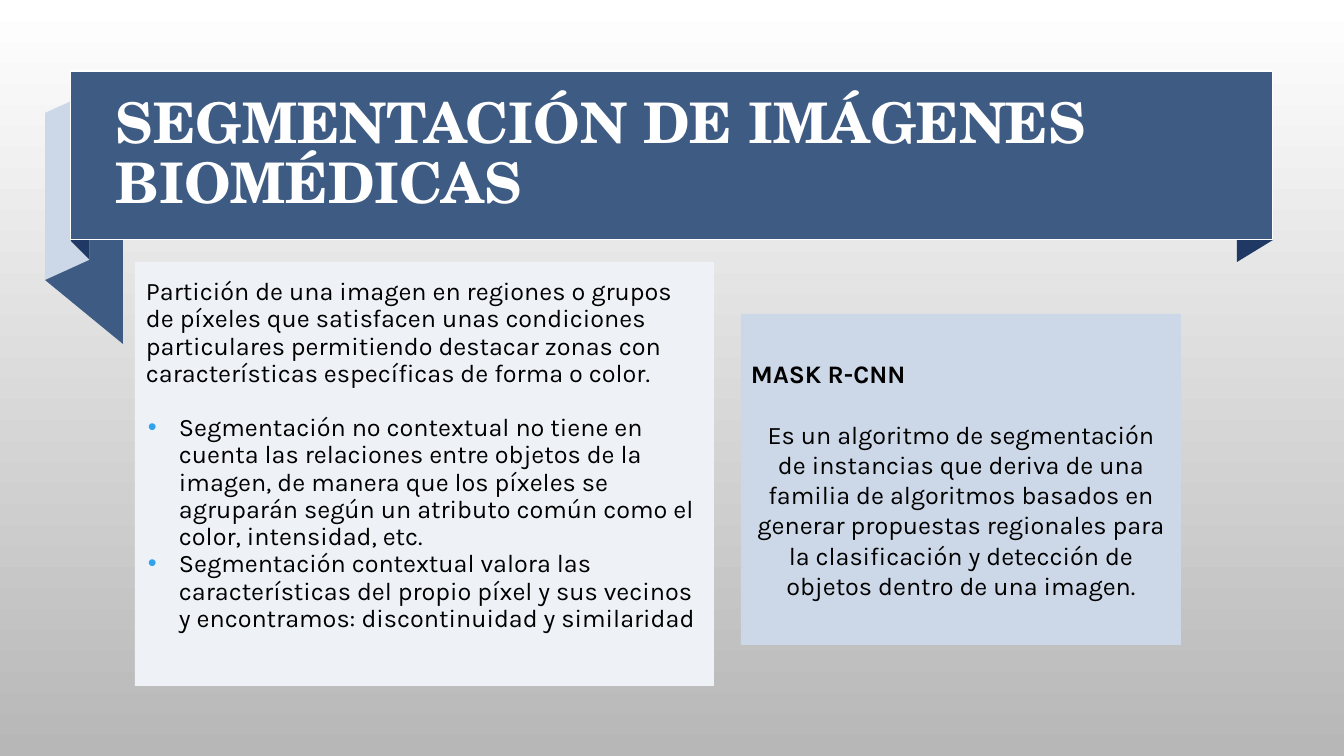
import pptx
import pptx.dml.color
import pptx.enum.shapes
import pptx.enum.text
import pptx.oxml.ns
import pptx.util
from lxml import etree

PX = 914400 / 100.8
ALIGN = pptx.enum.text.PP_ALIGN
ANCHOR = pptx.enum.text.MSO_ANCHOR

NAVY, BLUE, PALE, MIST = "1F3864", "3E5C83", "CCD8E7", "EEF2F7"
WHITE, BLACK, BULLET = "FFFFFF", "000000", "2FA3EE"


def px(length):
    return pptx.util.Emu(round(length * PX))


def color(value):
    return pptx.dml.color.RGBColor.from_string(value)


class Board:
    """Holds the text style and the current slide."""

    font = "Karla"
    size = 18

    def __init__(self, slide):
        self.slide = slide

    def background(self, top, bottom):
        fill = self.slide.background.fill
        fill.gradient()
        fill.gradient_angle = 270
        for stop, value in zip(fill.gradient_stops, (top, bottom)):
            stop.color.rgb = color(value)

    def paint(self, shape, fill, line=None):
        shape.shadow.inherit = False
        shape.fill.solid()
        shape.fill.fore_color.rgb = color(fill)
        if line:
            shape.line.color.rgb = color(line)
            shape.line.width = pptx.util.Pt(0.75)
        else:
            shape.line.fill.background()

    def polygon(self, points, fill):
        builder = self.slide.shapes.build_freeform(*points[0], scale=PX)
        builder.add_line_segments(points[1:], close=True)
        self.paint(builder.convert_to_shape(), fill)

    def panel(self, left, top, width, height, fill, line=None,
              side=10, inset=5, anchor=ANCHOR.MIDDLE):
        shape = self.slide.shapes.add_shape(
            pptx.enum.shapes.MSO_SHAPE.RECTANGLE,
            px(left), px(top), px(width), px(height))
        self.paint(shape, fill, line)
        frame = shape.text_frame
        frame.word_wrap = True
        frame.vertical_anchor = anchor
        frame.margin_left = frame.margin_right = px(side)
        frame.margin_top, frame.margin_bottom = px(inset), px(5)
        return frame

    def text(self, frame, words, size=None, font=None, ink=BLACK, bold=False,
             align=ALIGN.LEFT, spacing=1.0, before=0, bullet=False):
        paragraph = frame.paragraphs[0]
        if paragraph.runs:
            paragraph = frame.add_paragraph()
        paragraph.add_run().text = words
        paragraph.alignment = align
        paragraph.line_spacing = spacing
        if before:
            paragraph.space_before = pptx.util.Pt(before)
        if bullet:
            self.bullet(paragraph)
        paragraph.font.size = pptx.util.Pt(size or self.size)
        paragraph.font.name = font or self.font
        paragraph.font.bold = bold
        paragraph.font.color.rgb = color(ink)

    def bullet(self, paragraph):
        qn = pptx.oxml.ns.qn
        properties = paragraph._p.get_or_add_pPr()
        properties.set("marL", str(px(33)))
        properties.set("indent", str(px(-31)))
        tint = etree.SubElement(properties, qn("a:buClr"))
        etree.SubElement(tint, qn("a:srgbClr"), val=BULLET)
        etree.SubElement(properties, qn("a:buFont"), typeface="Arial")
        etree.SubElement(properties, qn("a:buChar"), char="•")


def main():
    presentation = pptx.Presentation()
    presentation.slide_width, presentation.slide_height = px(1344), px(756)
    board = Board(presentation.slides.add_slide(presentation.slide_layouts[6]))
    board.background(WHITE, "B7B7B7")

    # Algorithm panel
    algorithm = board.panel(741, 314, 440, 331, PALE)
    board.text(algorithm, "MASK R-CNN", bold=True)
    board.text(
        algorithm,
        "Es un algoritmo de segmentación de instancias que deriva de una "
        "familia de algoritmos basados en generar propuestas regionales para "
        "la clasificación y detección de objetos dentro de una imagen.",
        align=ALIGN.CENTER, before=21.6)

    # Ribbon folds behind the banner
    board.polygon([(123, 344), (45, 280), (45, 113), (123, 176)], BLUE)
    board.polygon([(89, 260), (45, 280), (45, 113), (89, 93)], PALE)
    board.polygon([(89, 259), (71, 241), (71, 71), (89, 90)], NAVY)
    board.polygon([(1273, 240), (1237, 262), (1237, 92), (1273, 71)], NAVY)

    # Title banner
    banner = board.panel(71, 71, 1202, 169, BLUE, line=WHITE, side=45)
    board.text(banner, "SEGMENTACIÓN DE IMÁGENES BIOMÉDICAS", size=40,
               font="TeX Gyre Schola", ink=WHITE, bold=True, spacing=0.9)

    # Definition panel
    definition = board.panel(135, 262, 579, 424, MIST, side=11, inset=17,
                             anchor=ANCHOR.TOP)
    board.text(
        definition,
        "Partición de una imagen en regiones o grupos de píxeles que "
        "satisfacen unas condiciones particulares permitiendo destacar zonas "
        "con características específicas de forma o color.", spacing=0.9)
    kinds = [
        "Segmentación no contextual no tiene en cuenta las relaciones entre "
        "objetos de la imagen, de manera que los píxeles se agruparán según "
        "un atributo común como el color, intensidad, etc.",
        "Segmentación contextual valora las características del propio píxel "
        "y sus vecinos y encontramos: discontinuidad y similaridad",
    ]
    for before, kind in zip((19.4, 0), kinds):
        board.text(definition, kind, spacing=0.9, before=before, bullet=True)

    presentation.save("out.pptx")


if __name__ == "__main__":
    main()
